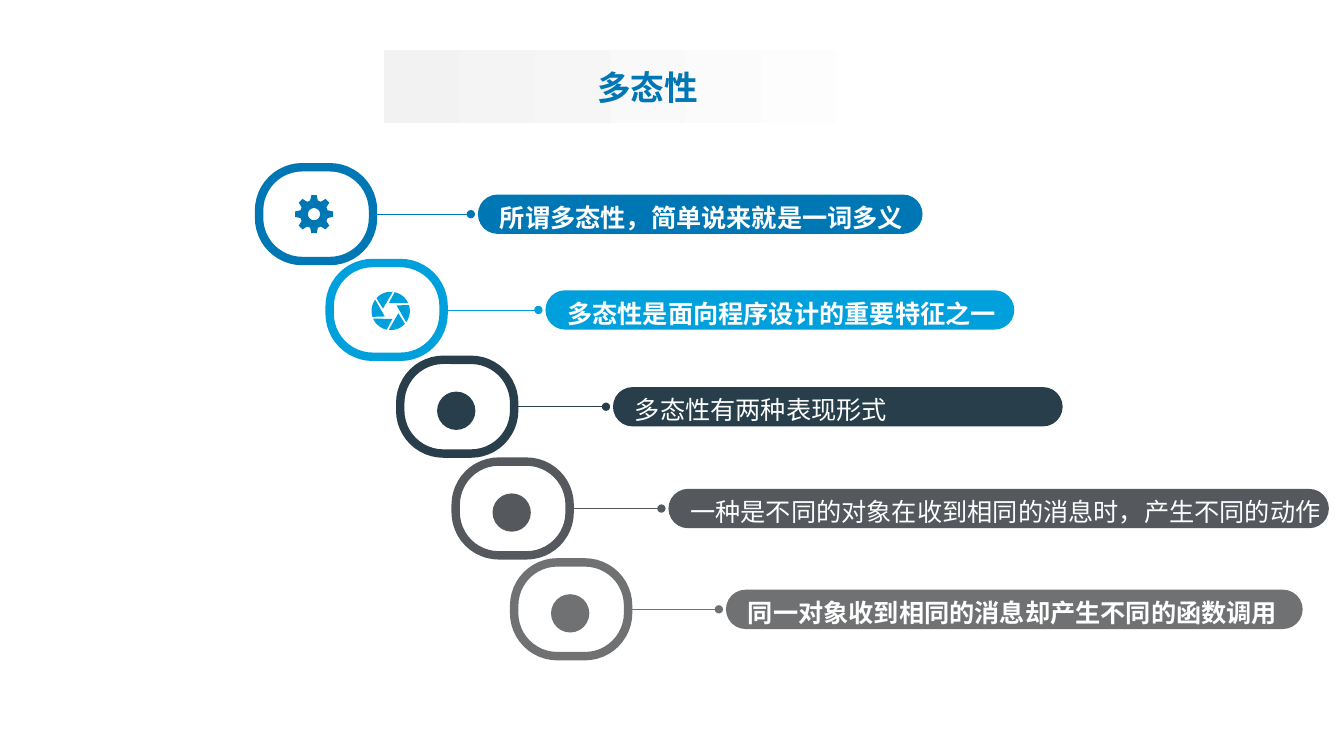
"""Build the polymorphism slide: five stepped badges, each joined to a label."""
import math
from dataclasses import dataclass

import lxml.etree
import pptx
import pptx.dml.color
import pptx.enum.shapes
import pptx.enum.text
import pptx.oxml.ns
import pptx.util

Inches = pptx.util.Inches
Pt = pptx.util.Pt
RGB = pptx.dml.color.RGBColor.from_string
qn = pptx.oxml.ns.qn
SHAPES = pptx.enum.shapes.MSO_SHAPE
ALIGN = pptx.enum.text.PP_ALIGN

TITLE = "多态性"
ROWS = [
    dict(text="所谓多态性，简单说来就是一词多义", color="0077B5", icon="gear", bold=True,
         badge=(2.57, 1.66), label=(4.74, 4.41), line=0.5),
    dict(text="多态性是面向程序设计的重要特征之一", color="00A0DC", icon="aperture", bold=True,
         badge=(3.27, 2.61), label=(5.41, 4.65), line=0.5),
    dict(text="多态性有两种表现形式", color="283E4A", icon="disc", bold=False,
         badge=(3.97, 3.57), label=(6.08, 4.46), line=0.5),
    dict(text="一种是不同的对象在收到相同的消息时，产生不同的动作", color="55595D", icon="disc",
         bold=False, badge=(4.52, 4.58), label=(6.63, 6.55), line=1),
    dict(text="同一对象收到相同的消息却产生不同的函数调用", color="6F7173", icon="disc", bold=True,
         badge=(5.1, 5.58), label=(7.2, 5.72), line=1),
]
BADGE_WIDTH, BADGE_HEIGHT = 1.13, 0.93
LABEL_HEIGHT = 0.39
LINE_LENGTH, LINE_GAP = 1.05, 0.07
ICON_RADIUS = 0.19
ICON_OFFSETS = {"gear": (-0.02, 0), "aperture": (0.04, 0.01), "disc": (-0.01, 0.04)}


@dataclass(frozen=True)
class Theme:
    """Colours, fonts and type sizes of the slide."""
    title: str = "0077B5"
    white: str = "FFFFFF"
    shade: str = "F2F2F2"
    latin: str = "Arial"
    chinese: str = "Noto Sans CJK SC"
    title_size: int = 24
    label_size: int = 18
    badge_line: int = 6


THEME = Theme()


def set_font(paragraph, latin, size, color, bold):
    """Format a paragraph, including its East Asian typeface."""
    font = paragraph.font
    font.name, font.size, font.bold = latin, Pt(size), bold
    font.color.rgb = RGB(color)
    properties = paragraph._p.pPr.find(qn("a:defRPr"))
    lxml.etree.SubElement(properties, qn("a:ea"), typeface=THEME.chinese)


def add_filled(shapes, kind, box, fill):
    """Add a borderless preset shape with a solid fill."""
    shape = shapes.add_shape(kind, *map(Inches, box))
    shape.shadow.inherit = False
    shape.fill.solid()
    shape.fill.fore_color.rgb = RGB(fill)
    shape.line.fill.background()
    return shape


def polar(radius, degrees):
    """Return the point at a radius and angle around the origin."""
    angle = math.radians(degrees)
    return radius * math.cos(angle), radius * math.sin(angle)


def gear_contours():
    """Return an eight-toothed wheel and its round hole."""
    tooth = [(0.14, -16), (ICON_RADIUS, -8), (ICON_RADIUS, 8), (0.14, 16)]
    wheel = [polar(radius, turn + angle) for turn in range(0, 360, 45) for radius, angle in tooth]
    hole = [polar(0.06, angle) for angle in range(360, 0, -15)]
    return [wheel, hole]


def aperture_contours():
    """Return six shutter blades, each turned by sixty degrees."""
    return [[polar(ICON_RADIUS, turn - angle) for angle in range(84, 139, 6)]
            + [polar(0.08, turn - 163)] for turn in range(0, 360, 60)]


def add_icon(shapes, name, center_x, center_y, color):
    """Draw the named icon around a centre point."""
    if name == "disc":
        box = (center_x - ICON_RADIUS, center_y - ICON_RADIUS, 2 * ICON_RADIUS, 2 * ICON_RADIUS)
        add_filled(shapes, SHAPES.OVAL, box, color)
        return
    contours = gear_contours() if name == "gear" else aperture_contours()
    placed = [[(Inches(center_x + x), Inches(center_y + y)) for x, y in contour]
              for contour in contours]
    builder = shapes.build_freeform(*placed[0][0])
    for index, contour in enumerate(placed):
        if index:
            builder.move_to(*contour[0])
        builder.add_line_segments(contour[1:], close=True)
    icon = builder.convert_to_shape()
    icon.shadow.inherit = False
    icon.fill.solid()
    icon.fill.fore_color.rgb = RGB(color)
    icon.line.fill.background()


def add_pointer(shapes, end_x, y, color, width):
    """Draw a horizontal line that ends in a dot."""
    connector = shapes.add_connector(
        pptx.enum.shapes.MSO_CONNECTOR.STRAIGHT,
        *map(Inches, (end_x - LINE_LENGTH, y, end_x, y)))
    connector.line.color.rgb = RGB(color)
    connector.line.width = Pt(width)
    lxml.etree.SubElement(connector.line._get_or_add_ln(), qn("a:tailEnd"), type="oval")
    lxml.etree.SubElement(connector._element.spPr, qn("a:effectLst"))


def add_label(shapes, row, middle):
    """Draw the pill-shaped label of a row."""
    left, width = row["label"]
    box = (left, middle - LABEL_HEIGHT / 2, width, LABEL_HEIGHT)
    label = add_filled(shapes, SHAPES.ROUNDED_RECTANGLE, box, row["color"])
    label.adjustments[0] = 0.5
    frame = label.text_frame
    frame.word_wrap = False
    frame.vertical_anchor = pptx.enum.text.MSO_ANCHOR.MIDDLE
    frame.margin_left = Inches(0.16)
    paragraph = frame.paragraphs[0]
    paragraph.text = row["text"]
    paragraph.alignment = ALIGN.LEFT
    paragraph.line_spacing = 1.2
    latin = THEME.latin if row["bold"] else THEME.chinese
    set_font(paragraph, latin, THEME.label_size, THEME.white, row["bold"])


def add_row(slide, row):
    """Draw one step as a group of pointer, label, badge and icon."""
    shapes = slide.shapes.add_group_shape().shapes
    left, top = row["badge"]
    middle = top + BADGE_HEIGHT / 2
    add_pointer(shapes, row["label"][0] - LINE_GAP, middle, row["color"], row["line"])
    add_label(shapes, row, middle)
    badge = add_filled(shapes, SHAPES.ROUNDED_RECTANGLE,
                       (left, top, BADGE_WIDTH, BADGE_HEIGHT), THEME.white)
    badge.adjustments[0] = 0.46
    badge.line.color.rgb = RGB(row["color"])
    badge.line.width = Pt(THEME.badge_line)
    shift_x, shift_y = ICON_OFFSETS[row["icon"]]
    add_icon(shapes, row["icon"], left + BADGE_WIDTH / 2 + shift_x, middle + shift_y, row["color"])


def format_title(title):
    """Turn the title placeholder into a rounded bar that fades to white."""
    title.left, title.top, title.width, title.height = map(Inches, (3.81, 0.5, 5.23, 0.72))
    geometry = lxml.etree.SubElement(title._element.spPr, qn("a:prstGeom"), prst="roundRect")
    guides = lxml.etree.SubElement(geometry, qn("a:avLst"))
    lxml.etree.SubElement(guides, qn("a:gd"), name="adj", fmla="val 42300")
    title.fill.gradient()
    title.fill.gradient_angle = 0
    for stop, color in zip(title.fill.gradient_stops, (THEME.shade, THEME.white)):
        stop.color.rgb = RGB(color)
    frame = title.text_frame
    frame.text = TITLE
    frame.word_wrap = True
    frame.auto_size = pptx.enum.text.MSO_AUTO_SIZE.NONE
    frame.vertical_anchor = pptx.enum.text.MSO_ANCHOR.MIDDLE
    frame.paragraphs[0].alignment = ALIGN.CENTER
    set_font(frame.paragraphs[0], THEME.chinese, THEME.title_size, THEME.title, True)


def main():
    """Assemble the slide and save it."""
    presentation = pptx.Presentation()
    presentation.slide_width, presentation.slide_height = Inches(13.33), Inches(7.5)
    slide = presentation.slides.add_slide(presentation.slide_layouts[5])
    format_title(slide.shapes.title)
    for row in ROWS:
        add_row(slide, row)
    presentation.save("out.pptx")


if __name__ == "__main__":
    main()
